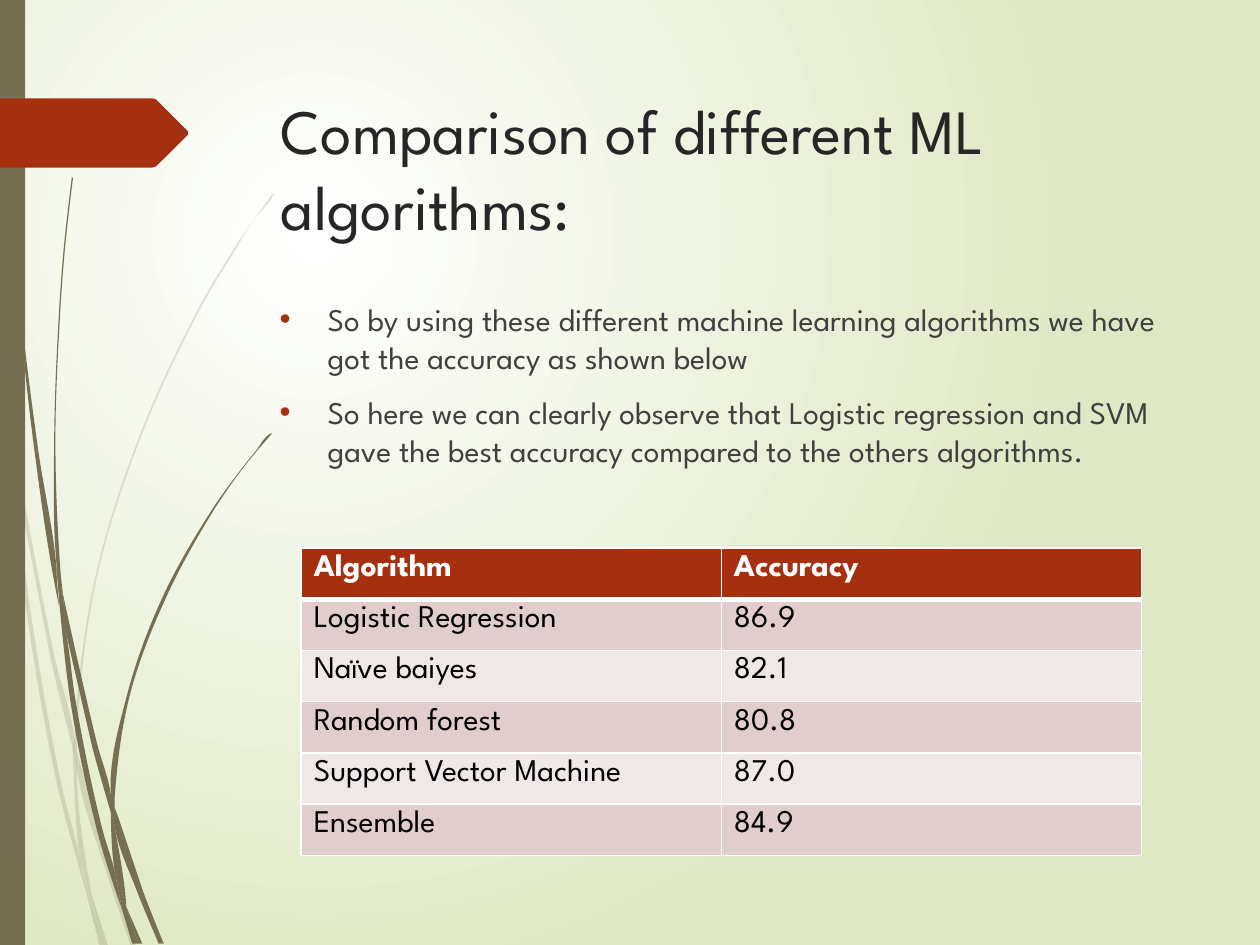
import math
from dataclasses import dataclass

import pptx
import pptx.dml.color
import pptx.enum.text
import pptx.enum.shapes
import pptx.oxml
import pptx.oxml.ns
import pptx.util
from pptx.util import Inches

Point = tuple[float, float]


@dataclass(frozen=True)
class Theme:
    font: str = "League Spartan"
    accent: str = "A53010"
    stem: str = "766F54"
    heading: str = "262626"
    body: str = "404040"
    cell: str = "000000"
    white: str = "FFFFFF"
    backdrop: str = "DFE8C4"
    bands: tuple[str, str] = ("E1CDCC", "F0E8E7")
    title_size: int = 36
    text_size: int = 18


@dataclass(frozen=True)
class Result:
    algorithm: str
    accuracy: str


THEME = Theme()

PALE_BLADES: list[list[Point]] = [
    [(0.08, 3.5), (0.06, 3.22), (0, 2.82), (0, 2.99), (0.07, 3.44)],
    [(0.4, 5.22), (0.59, 5.99), (0.59, 5.86), (0.43, 5.2), (0.1, 3.45), (0.12, 3.76)],
    [(0.64, 6.07), (0.61, 5.96), (0.61, 6.1), (0.85, 6.94), (1.04, 7.51), (1.08, 7.51), (0.88, 6.92)],
    [(0.83, 7.51), (0.86, 7.51), (0.73, 7.11)],
    [(0.64, 6.83), (0.48, 6.19), (0.22, 4.69), (0.12, 3.76), (0.08, 3.5), (0.19, 4.7),
     (0.45, 6.21), (0.64, 6.93), (0.7, 7.14), (0.69, 7.07)],
    [(0.58, 5.99), (0.6, 6.46), (0.64, 6.83), (0.67, 6.92), (0.73, 7.11), (0.72, 7.06),
     (0.63, 6.46), (0.61, 6.1), (0.61, 6.08)],
    [(0.61, 5.84), (0.76, 4.62), (1.11, 3.49), (1.59, 2.45), (1.87, 1.98), (2.01, 1.75),
     (2.17, 1.54), (2.17, 1.53), (2.01, 1.75), (1.86, 1.97), (1.58, 2.44), (1.1, 3.48),
     (0.75, 4.61), (0.59, 5.84), (0.59, 5.86), (0.61, 5.96)],
    [(0.7, 7.14), (0.79, 7.51), (0.82, 7.51)],
    [(0.61, 6.08), (0.61, 6.1), (0.61, 5.96), (0.59, 5.86), (0.58, 5.99)],
    [(0.67, 6.92), (0.65, 6.83), (0.69, 7.07), (0.7, 7.14), (0.82, 7.51), (0.83, 7.51), (0.73, 7.11)],
]

DARK_BLADES: list[list[Point]] = [
    [(0.05, 1.1), (0.14, 2.33), (0.27, 3.55), (0.46, 4.77), (0.47, 4.81), (0.45, 4.57),
     (0.45, 4.53), (0.3, 3.55), (0.15, 2.32), (0.06, 1.09), (0.04, 0.48), (0.03, 0),
     (0.02, 0), (0.03, 0.48)],
    [(0.73, 5.92), (0.88, 6.45), (0.88, 6.33), (0.88, 6.31), (0.77, 5.9), (0.5, 4.72), (0.53, 5.05)],
    [(0.94, 6.49), (0.91, 6.41), (0.91, 6.56), (1.09, 7.08), (1.26, 7.49), (1.3, 7.49), (1.13, 7.06)],
    [(0.91, 6.91), (0.81, 6.57), (0.6, 5.56), (0.53, 5.05), (0.47, 4.77), (0.56, 5.57),
     (0.77, 6.59), (0.92, 7.08), (0.97, 7.22), (0.96, 7.17)],
    [(0.5, 4.72), (0.48, 4.53), (0.44, 3.49), (0.48, 2.45), (0.52, 1.93), (0.58, 1.41),
     (0.57, 1.41), (0.51, 1.93), (0.47, 2.45), (0.43, 3.49), (0.45, 4.49), (0.49, 4.72)],
    [(1.1, 7.49), (1.13, 7.49), (1, 7.19)],
    [(0.47, 4.77), (0.53, 5.05), (0.5, 4.72), (0.49, 4.72), (0.45, 4.49), (0.45, 4.53)],
    [(0.91, 6.33), (1.03, 5.52), (1.31, 4.76), (1.69, 4.06), (1.91, 3.74), (2.03, 3.59),
     (2.16, 3.44), (2.15, 3.44), (2.03, 3.58), (1.91, 3.73), (1.68, 4.05), (1.29, 4.74),
     (1.01, 5.51), (0.88, 6.31), (0.91, 6.41)],
    [(0.97, 7.22), (1.05, 7.49), (1.08, 7.49)],
    [(0.88, 6.45), (0.91, 6.91), (0.96, 7.06), (1, 7.19), (1, 7.16), (0.91, 6.56), (0.9, 6.51)],
    [(0.88, 6.45), (0.9, 6.51), (0.91, 6.56), (0.91, 6.41), (0.88, 6.31), (0.88, 6.33)],
    [(0.96, 7.06), (0.91, 6.91), (0.96, 7.17), (0.97, 7.22), (1.08, 7.49), (1.1, 7.49), (1, 7.19)],
]

MARKER: list[Point] = [(1.49, 1.07), (1.24, 1.32), (1.21, 1.33), (0, 1.33), (0, 0.78),
                       (1.21, 0.78), (1.24, 0.79), (1.49, 1.04)]

REMARKS = [
    "So by using these different machine learning algorithms we have got the accuracy as shown below",
    "So here we can clearly observe that Logistic regression and SVM gave the best accuracy compared to the others algorithms.",
]

RESULTS = [
    Result("Algorithm", "Accuracy"),
    Result("Logistic Regression", "86.9"),
    Result("Naïve baiyes", "82.1"),
    Result("Random forest", "80.8"),
    Result("Support Vector Machine", "87.0"),
    Result("Ensemble", "84.9"),
]


def rgb(value: str) -> pptx.dml.color.RGBColor:
    return pptx.dml.color.RGBColor.from_string(value)


def xml(tag: str, rest: str):
    return pptx.oxml.parse_xml(f"<a:{tag} {pptx.oxml.ns.nsdecls('a')} {rest}")


def write(paragraph, text: str, *, color: str, size: int = THEME.text_size, bold: bool = False) -> None:
    paragraph.alignment = pptx.enum.text.PP_ALIGN.LEFT
    run = paragraph.add_run()
    run.text = text
    run.font.name = THEME.font
    run.font.size = pptx.util.Pt(size)
    run.font.bold = bold
    run.font.color.rgb = rgb(color)


def paint(shape, color: str, opacity: int = 100) -> None:
    shape.shadow.inherit = False
    shape.fill.solid()
    shape.fill.fore_color.rgb = rgb(color)
    shape.line.fill.background()
    if opacity < 100:
        tint = shape.element.xpath("p:spPr/a:solidFill/a:srgbClr")[0]
        tint.append(xml("alpha", f'val="{opacity * 1000}"/>'))


def draw_outline(slide, outline: list[Point]):
    corners = [(Inches(x), Inches(y)) for x, y in outline]
    builder = slide.shapes.build_freeform(*corners[0])
    builder.add_line_segments(corners[1:], close=True)
    return builder.convert_to_shape()


def tangent(before: Point, here: Point, after: Point) -> Point:
    arriving, leaving = math.dist(before, here), math.dist(here, after)
    x, y = ((h - b) / arriving + (a - h) / leaving for b, h, a in zip(before, here, after))
    length = math.hypot(x, y)
    return (x / length, y / length) if length > 1.8 else (0, 0)


def bend(shape, outline: list[Point]) -> None:
    count = len(outline)
    tangents = [tangent(outline[i - 1], outline[i], outline[(i + 1) % count]) for i in range(count)]
    origin = [min(axis) for axis in zip(*outline)]
    for index, line in enumerate(shape.element.xpath(".//a:path/a:lnTo")[:count - 1]):
        start, end = outline[index], outline[index + 1]
        reach = math.dist(start, end) / 3
        handles = [
            [p + t * reach for p, t in zip(start, tangents[index])],
            [p - t * reach for p, t in zip(end, tangents[index + 1])],
            end,
        ]
        points = "".join(
            f'<a:pt x="{Inches(x - origin[0])}" y="{Inches(y - origin[1])}"/>' for x, y in handles)
        line.getparent().replace(line, xml("cubicBezTo", f">{points}</a:cubicBezTo>"))


def draw_background(slide) -> None:
    fill = slide.background.fill
    fill.gradient()
    for stop, color in zip(fill.gradient_stops, (THEME.white, THEME.backdrop)):
        stop.color.rgb = rgb(color)
    gradient = slide.element.xpath(".//p:bgPr/a:gradFill")[0]
    gradient.replace(gradient.xpath("a:lin")[0], xml(
        "path", 'path="circle"><a:fillToRect l="50000" t="50000" r="100000" b="100000"/></a:path>'))


def draw_decoration(slide) -> None:
    for blades, opacity in ((PALE_BLADES, 20), (DARK_BLADES, 100)):
        for outline in blades:
            blade = draw_outline(slide, outline)
            bend(blade, outline)
            paint(blade, THEME.stem, opacity)
    edge = slide.shapes.add_shape(
        pptx.enum.shapes.MSO_SHAPE.RECTANGLE, 0, 0, Inches(0.2), Inches(7.5))
    paint(edge, THEME.stem)
    paint(draw_outline(slide, MARKER), THEME.accent)


def place(holder, left: float, top: float, width: float, height: float):
    holder.left, holder.top = Inches(left), Inches(top)
    holder.width, holder.height = Inches(width), Inches(height)
    holder.element.getparent().append(holder.element)
    frame = holder.text_frame
    frame.word_wrap = True
    frame.auto_size = pptx.enum.text.MSO_AUTO_SIZE.NONE
    frame.vertical_anchor = pptx.enum.text.MSO_ANCHOR.TOP
    return frame


def draw_remarks(frame) -> None:
    for index, remark in enumerate(REMARKS):
        paragraph = frame.add_paragraph() if index else frame.paragraphs[0]
        write(paragraph, remark, color=THEME.body)
        paragraph.space_before = pptx.util.Pt(10)
        properties = paragraph._p.get_or_add_pPr()
        properties.set("marL", str(Inches(0.38)))
        properties.set("indent", str(-Inches(0.38)))
        properties.append(xml("buClr", f'><a:srgbClr val="{THEME.accent}"/></a:buClr>'))
        properties.append(xml("buFont", 'typeface="Arial"/>'))
        properties.append(xml("buChar", 'char="•"/>'))


def draw_borders(cell, top: int, bottom: int) -> None:
    for index, (side, weight) in enumerate({"lnL": 1, "lnR": 1, "lnT": top, "lnB": bottom}.items()):
        cell._tc.get_or_add_tcPr().insert(index, xml(
            side, f'w="{pptx.util.Pt(weight)}"><a:solidFill>'
            f'<a:srgbClr val="{THEME.white}"/></a:solidFill></a:{side}>'))


def draw_results(slide) -> None:
    table = slide.shapes.add_table(
        len(RESULTS), 2, Inches(2.39), Inches(4.35), Inches(6.67), Inches(2.44)).table
    for row, result in enumerate(RESULTS):
        header = row == 0
        for column, text in enumerate((result.algorithm, result.accuracy)):
            cell = table.cell(row, column)
            write(cell.text_frame.paragraphs[0], text, bold=header,
                  color=THEME.white if header else THEME.cell)
            cell.fill.solid()
            cell.fill.fore_color.rgb = rgb(THEME.accent if header else THEME.bands[(row - 1) % 2])
            draw_borders(cell, top=3 if row == 1 else 1, bottom=3 if header else 1)


def main() -> None:
    deck = pptx.Presentation()
    deck.slide_width, deck.slide_height = Inches(10), Inches(7.5)
    slide = deck.slides.add_slide(deck.slide_layouts[1])
    draw_background(slide)
    draw_decoration(slide)
    heading = place(slide.shapes.title, 2.13, 0.68, 7.21, 1.4)
    write(heading.paragraphs[0], "Comparison of different ML algorithms:",
          color=THEME.heading, size=THEME.title_size)
    draw_remarks(place(slide.placeholders[1], 2.12, 2.33, 7.21, 4.57))
    draw_results(slide)
    deck.save("out.pptx")


if __name__ == "__main__":
    main()
